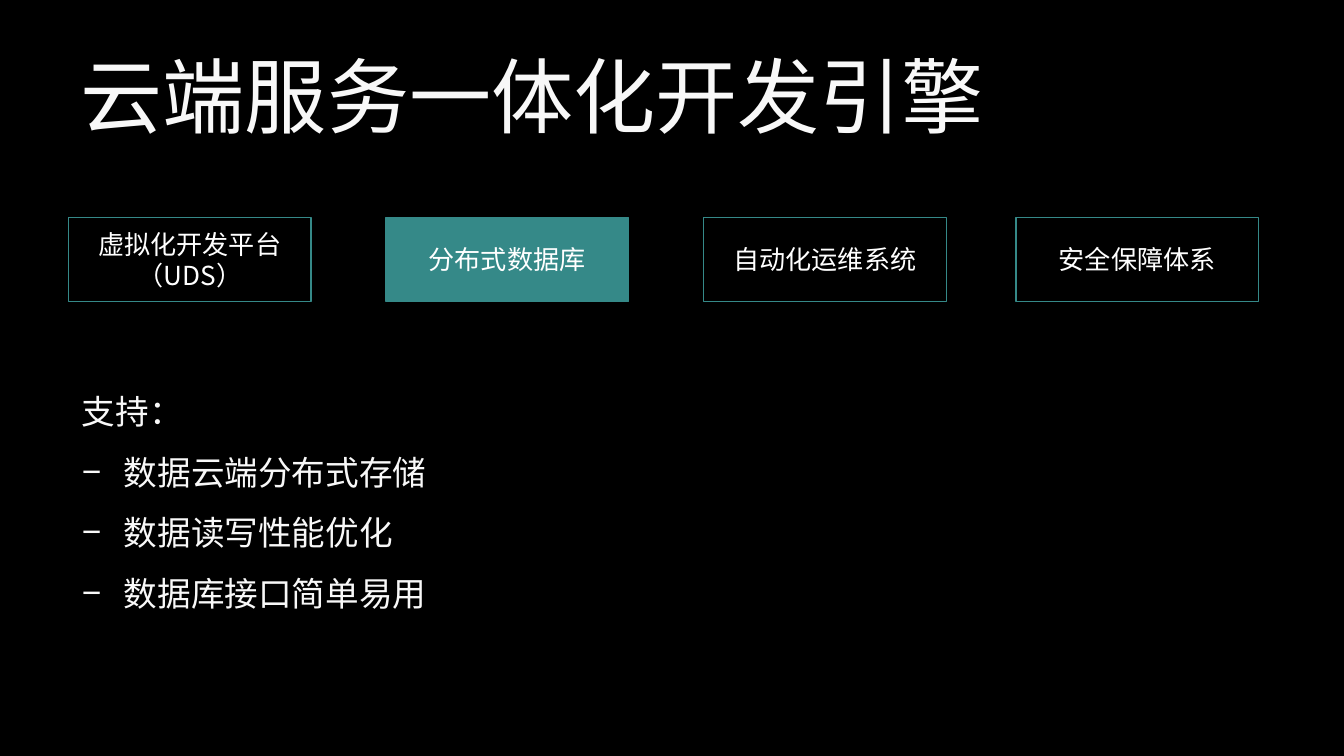
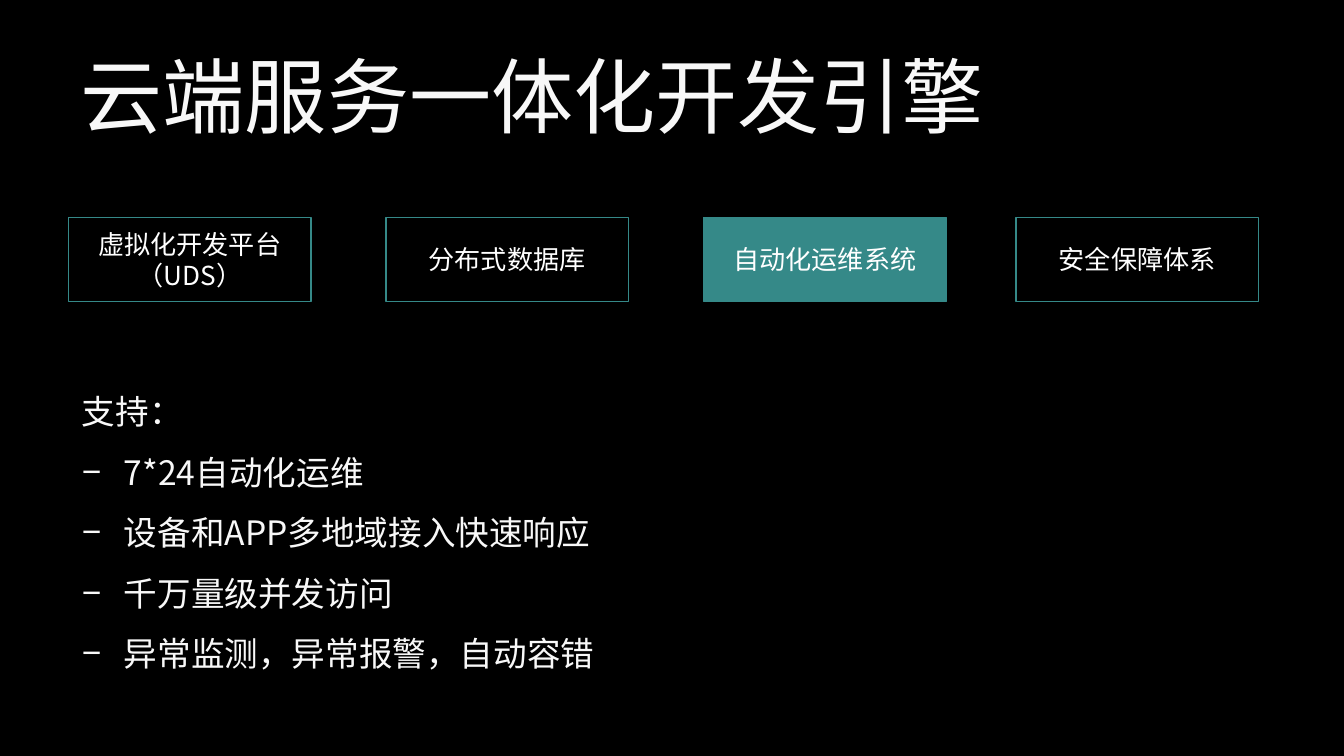
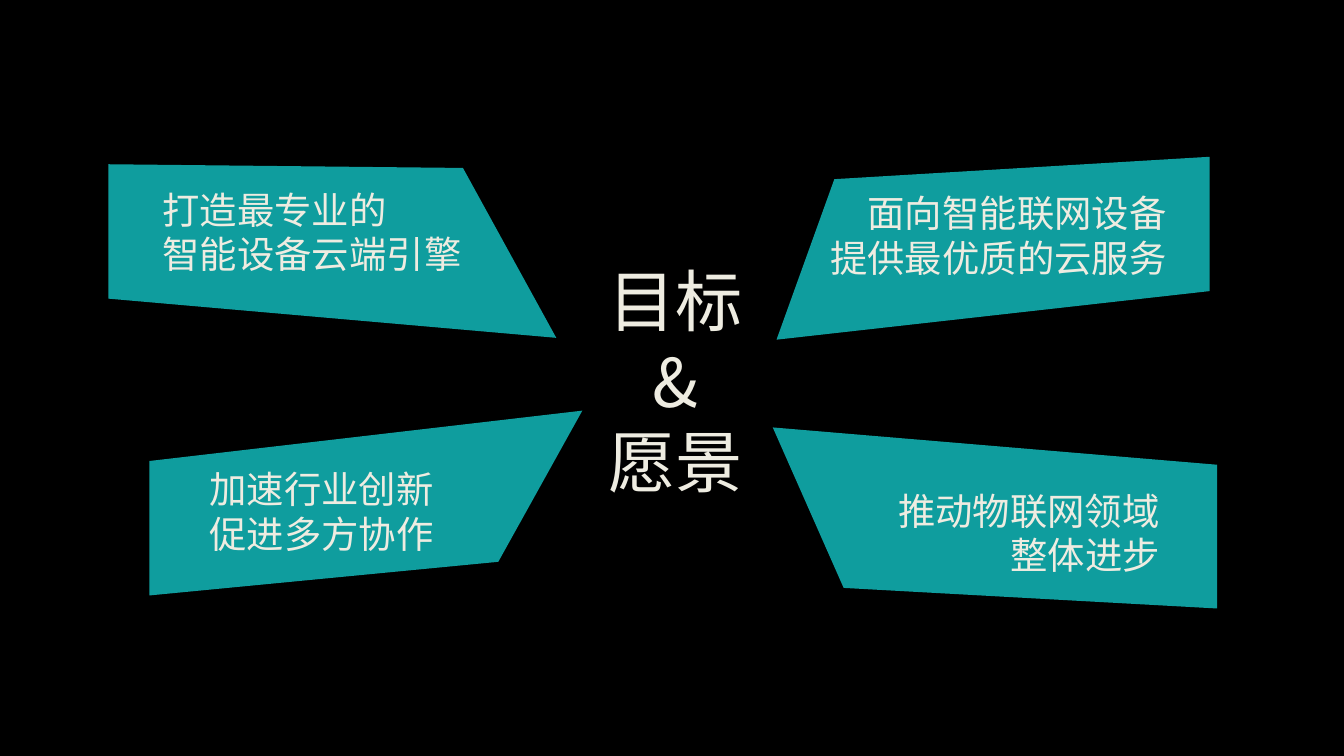
"""Build three dark slides on a cloud development engine and its goals."""
from dataclasses import dataclass

from lxml.etree import SubElement
from pptx import Presentation
from pptx.dml.color import RGBColor
from pptx.enum.shapes import MSO_SHAPE
from pptx.enum.text import MSO_ANCHOR, MSO_AUTO_SIZE, PP_ALIGN
from pptx.oxml.ns import qn
from pptx.util import Pt


@dataclass(frozen=True)
class Theme:
    font: str = "Noto Sans CJK SC"
    background: str = "000000"
    title: str = "F8F8F8"
    tab_text: str = "FFFFFF"
    tab: str = "358988"
    goal: str = "0F9D9E"
    goal_text: str = "EEECE1"
    title_size: int = 44
    vision_size: int = 36
    goal_size: int = 20
    list_size: int = 18
    tab_size: int = 14


THEME = Theme()
SLIDE_SIZE = (720, 405)
TITLE_BOX = (36, 16.6, 648, 67.7)
TAB_TOP, TAB_WIDTH, TAB_HEIGHT = 116.6, 129.9, 44.9
LIST_LEFT, LIST_TOP, LIST_WIDTH, LIST_LINE = 36.7, 195.1, 637.9, 33
LIST_INDENT = 22.5
VISION_BOX = (318.2, 135.4, 87.1, 138.2)
GOAL_TEXT_HEIGHT = 55.4

ENGINE_TITLE = "云端服务一体化开发引擎"
TABS = [
    ("虚拟化开发平台\n（UDS）", 36.7),
    ("分布式数据库", 206.8),
    ("自动化运维系统", 377),
    ("安全保障体系", 544.3),
]
SUPPORT_HEADING = "支持："
ENGINE_SLIDES = [
    ("分布式数据库", ["数据云端分布式存储", "数据读写性能优化", "数据库接口简单易用"]),
    ("自动化运维系统", ["7*24自动化运维", "设备和APP多地域接入快速响应",
                 "千万量级并发访问", "异常监测，异常报警，自动容错"]),
]
VISION = "目标\n&\n愿景"
GOALS = [
    {"text": "打造最专业的\n智能设备云端引擎", "align": PP_ALIGN.LEFT,
     "text_at": (79.9, 96.5, 182.9),
     "outline": [(298, 181.4), (57.8, 160.4), (57.8, 88), (248.4, 90.5)]},
    {"text": "加速行业创新\n促进多方协作", "align": PP_ALIGN.LEFT,
     "text_at": (105.1, 246.2, 135.4),
     "outline": [(267.4, 301), (79.9, 319), (79.9, 246.7), (311.8, 220.3)]},
    {"text": "推动物联网领域\n整体进步", "align": PP_ALIGN.RIGHT,
     "text_at": (472.3, 257.8, 156.2),
     "outline": [(414, 229), (652.3, 249.1), (652.3, 325.5), (452, 314.8)]},
    {"text": "面向智能联网设备\n提供最优质的云服务", "align": PP_ALIGN.RIGHT,
     "text_at": (435.6, 98.6, 196.6),
     "outline": [(447, 96), (648, 83.5), (648, 155.5), (415.6, 181.6)]},
]


def place(part, box):
    """Move and size a part."""
    part.left, part.top, part.width, part.height = (Pt(length) for length in box)


def write(part, text, *, size, color, align=PP_ALIGN.LEFT, anchor=MSO_ANCHOR.TOP,
          wrap=True, fit=MSO_AUTO_SIZE.NONE, spacing=1.0):
    """Fill a part with text, one paragraph a line, and format it."""
    frame = part.text_frame
    frame.text = text
    frame.word_wrap = wrap
    frame.auto_size = fit
    frame.vertical_anchor = anchor
    for paragraph in frame.paragraphs:
        paragraph.alignment = align
        paragraph.line_spacing = spacing
        paragraph.space_before = Pt(0)
        for run in paragraph.runs:
            run.font.size = Pt(size)
            run.font.color.rgb = RGBColor.from_string(color)
            run.font.name = THEME.font
            SubElement(run._r.get_or_add_rPr(), qn("a:ea"), typeface=THEME.font)


def set_bullet(paragraph, mark=None):
    """Give a paragraph a hanging bullet, or none."""
    indent = Pt(LIST_INDENT) if mark else 0
    properties = paragraph._p.get_or_add_pPr()
    properties.set("marL", str(indent))
    properties.set("indent", str(-indent))
    if mark:
        SubElement(properties, qn("a:buChar"), char=mark)
    else:
        SubElement(properties, qn("a:buNone"))


def add_tab(slide, label, left, active):
    """Add one tab, filled if it is the active one."""
    tab = slide.shapes.add_shape(
        MSO_SHAPE.RECTANGLE, Pt(left), Pt(TAB_TOP), Pt(TAB_WIDTH), Pt(TAB_HEIGHT))
    tab.shadow.inherit = False
    tab.line.color.rgb = RGBColor.from_string(THEME.tab)
    tab.line.width = Pt(0.75)
    if active:
        tab.fill.solid()
        tab.fill.fore_color.rgb = RGBColor.from_string(THEME.tab)
    else:
        tab.fill.background()
    write(tab, label, size=THEME.tab_size, color=THEME.tab_text,
          align=PP_ALIGN.CENTER, anchor=MSO_ANCHOR.MIDDLE)


def add_engine_slide(deck, active, features):
    """Add a slide with the tabs and the features of the active tab."""
    slide = deck.slides.add_slide(deck.slide_layouts[1])
    title, support = slide.placeholders
    place(title, TITLE_BOX)
    write(title, ENGINE_TITLE, size=THEME.title_size, color=THEME.title,
          anchor=MSO_ANCHOR.MIDDLE)
    lines = [SUPPORT_HEADING, *features]
    place(support, (LIST_LEFT, LIST_TOP, LIST_WIDTH, LIST_LINE * len(lines) + 4))
    write(support, "\n".join(lines), size=THEME.list_size, color=THEME.title,
          spacing=1.5, fit=MSO_AUTO_SIZE.SHAPE_TO_FIT_TEXT)
    heading, *items = support.text_frame.paragraphs
    set_bullet(heading)
    for item in items:
        set_bullet(item, "−")
    for label, left in TABS:
        add_tab(slide, label, left, label == active)


def add_goal(slide, goal):
    """Add one goal: its panel and the words on it."""
    start, *corners = goal["outline"]
    builder = slide.shapes.build_freeform(*start, scale=Pt(1))
    builder.add_line_segments(corners, close=True)
    panel = builder.convert_to_shape()
    panel.shadow.inherit = False
    panel.fill.solid()
    panel.fill.fore_color.rgb = RGBColor.from_string(THEME.goal)
    panel.line.fill.background()
    left, top, width = goal["text_at"]
    caption = slide.shapes.add_textbox(
        Pt(left), Pt(top), Pt(width), Pt(GOAL_TEXT_HEIGHT))
    write(caption, goal["text"], size=THEME.goal_size, color=THEME.goal_text,
          align=goal["align"], wrap=False, fit=MSO_AUTO_SIZE.SHAPE_TO_FIT_TEXT)


def add_vision_slide(deck):
    """Add the slide with the goals around the central title."""
    slide = deck.slides.add_slide(deck.slide_layouts[5])
    vision = slide.shapes.title
    place(vision, VISION_BOX)
    write(vision, VISION, size=THEME.vision_size, color=THEME.goal_text,
          align=PP_ALIGN.CENTER, wrap=False, fit=MSO_AUTO_SIZE.SHAPE_TO_FIT_TEXT)
    for goal in GOALS:
        add_goal(slide, goal)


def main():
    """Build and save the deck."""
    deck = Presentation()
    deck.slide_width, deck.slide_height = (Pt(length) for length in SLIDE_SIZE)
    backdrop = deck.slide_master.background.fill
    backdrop.solid()
    backdrop.fore_color.rgb = RGBColor.from_string(THEME.background)
    for active, features in ENGINE_SLIDES:
        add_engine_slide(deck, active, features)
    add_vision_slide(deck)
    deck.save("out.pptx")


if __name__ == "__main__":
    main()
